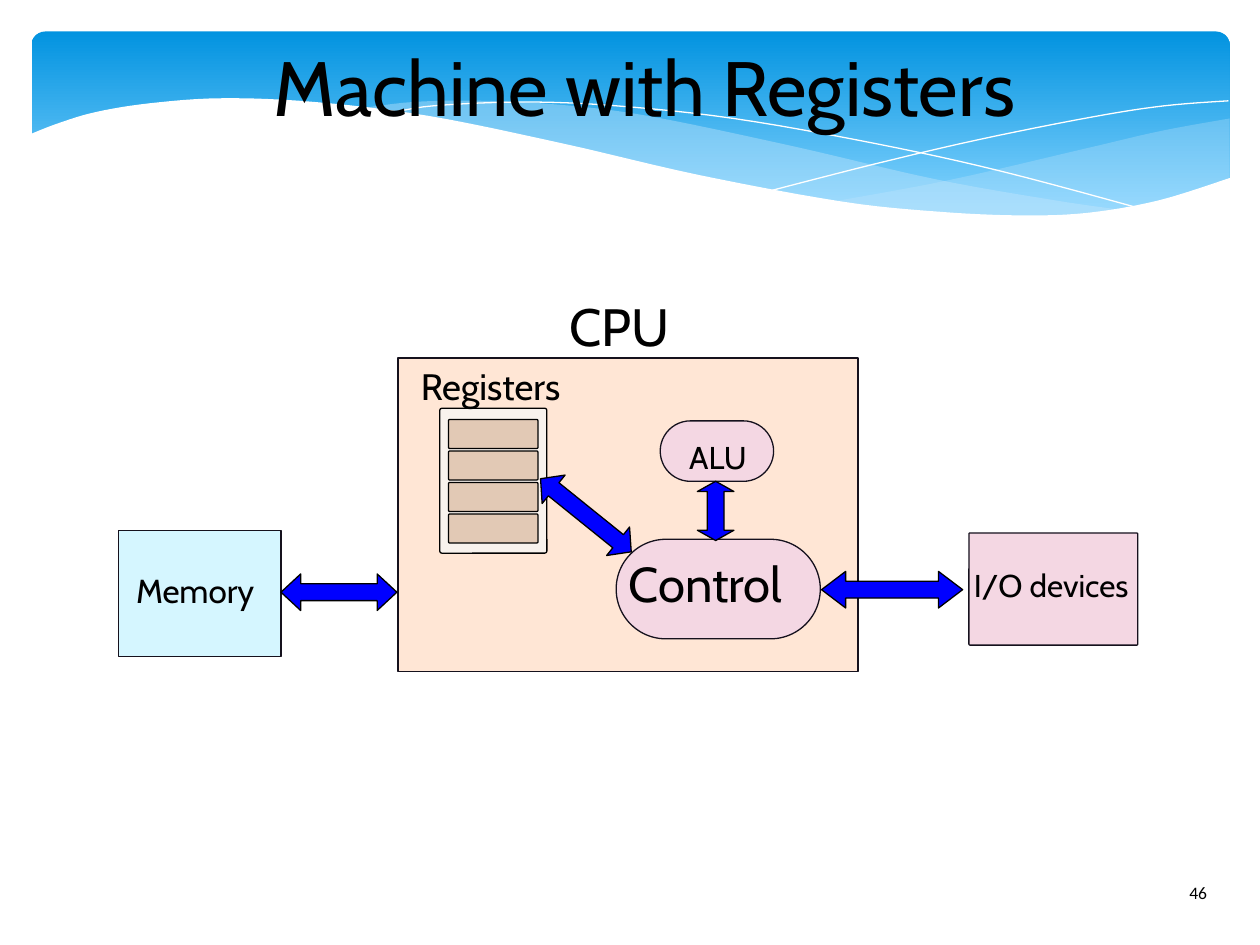
"""Build a slide showing a CPU with registers, linked to memory and I/O devices."""
from math import atan2, degrees, hypot

from lxml.etree import SubElement
from pptx import Presentation
from pptx.dml.color import RGBColor
from pptx.enum.shapes import MSO_SHAPE as Shape
from pptx.enum.text import MSO_ANCHOR as Anchor, MSO_AUTO_SIZE as AutoSize, PP_ALIGN as Align
from pptx.oxml.ns import qn
from pptx.util import Inches, Pt

COLORS = {
    "sky": "0293E0", "pale_sky": "83D3FE", "mist": "C6E7FC", "white": "FFFFFF",
    "cpu": "FFE6D5", "memory": "D5F6FF", "unit": "F4D7E3", "bank": "F8F2ED",
    "register": "E2C9B5", "arrow": "0000FF", "ink": "15111D", "black": "000000",
}
BANNER = (0.25, 0.25, 9.51, 1.56)
RIGHT_HILL = [
    [(6.61, 1.6), (7.53, 1.43), (8.61, 1.18), (9.21, 1.04), (9.76, 0.94)],
    [(9.76, 1.41), (9.35, 1.56), (8.89, 1.66), (8.35, 1.72), (7.81, 1.72), (7.19, 1.67), (6.61, 1.6)],
]
MIDDLE_HILL = [
    [(2.86, 0.86), (3.28, 0.81), (3.8, 0.8), (4.42, 0.83), (5.14, 0.92), (6.29, 1.16),
     (7.41, 1.42), (8.37, 1.59), (8.93, 1.67)],
    [(8.93, 1.67), (8.48, 1.72), (7.96, 1.73), (7.36, 1.69), (6.5, 1.58), (5.66, 1.43),
     (4.49, 1.16), (3.62, 0.97), (2.86, 0.86)],
]
FALLING_LINE = [[(3.09, 0.9), (3.44, 0.84), (4.16, 0.81), (4.89, 0.84), (5.82, 0.94),
                 (6.95, 1.14), (7.95, 1.36), (9.07, 1.66)]]
RISING_LINE = [[(6.13, 1.51), (6.95, 1.3), (7.76, 1.11), (8.66, 0.93), (9.24, 0.84), (9.75, 0.8)]]
LOWER_EDGE = [
    [(0.23, 1.07), (0.46, 0.98), (0.76, 0.89), (1.19, 0.82), (1.77, 0.78), (2.5, 0.81),
     (3.4, 0.92), (4.47, 1.14), (5.55, 1.39), (6.68, 1.6), (7.44, 1.68), (8.09, 1.71),
     (8.63, 1.69), (9.2, 1.59), (9.77, 1.41)],
    [(9.77, 2.24), (0.23, 2.24)],
]
WAVES = [
    (RIGHT_HILL, "mist", 29), (MIDDLE_HILL, "mist", 40),
    (FALLING_LINE, None, 100), (RISING_LINE, None, 100), (LOWER_EDGE, "white", 100),
]
REGISTER_COUNT, REGISTER_PITCH = 4, 0.25
REGISTERS = [((3.56, 3.33 + row * REGISTER_PITCH, 0.71, 0.23), "register", "black", 0.04)
             for row in range(REGISTER_COUNT)]
PARTS = [
    ((3.16, 2.84, 3.65, 2.49), "cpu", "ink", 0),
    ((0.94, 4.21, 1.29, 1), "memory", "ink", 0),
    ((4.89, 4.28, 1.62, 0.79), "unit", "ink", 0.5),
    ((5.24, 3.34, 0.9, 0.48), "unit", "ink", 0.5),
    ((7.69, 4.23, 1.34, 0.89), "unit", "ink", 0.01),
    ((3.49, 3.24, 0.85, 1.15), "bank", "black", 0.02),
    *REGISTERS,
]
ARROW_WIDTH, SHAFT_SHARE = 0.29, 0.46
ARROWS = [
    ((6.52, 4.68), (7.64, 4.68), 0.66),
    ((2.23, 4.7), (3.15, 4.7), 0.54),
    ((5.68, 3.82), (5.68, 4.29), 0.28),
    ((4.29, 3.8), (5.01, 4.38), 0.46),
]
TITLE = ((1.06, 0.17, 8.11, 1.02), "Machine with Registers", 44)
LABELS = [
    ((4.52, 2.33, 1.1, 0.57), "CPU", 30),
    ((4.99, 4.39, 1.43, 0.52), "Control", 28),
    ((5.47, 3.48, 0.6, 0.34), "ALU", 18),
    ((1.08, 4.53, 1.16, 0.37), "Memory", 19),
    ((7.73, 4.49, 1.44, 0.35), "I/O devices", 18),
    ((3.34, 2.89, 1.36, 0.39), "Registers", 21),
]
PAGE_NUMBER = ((9.34, 6.95, 0.61, 0.4), "46", 10)


def color(name):
    return RGBColor.from_string(COLORS[name])


def place(box):
    return [Inches(length) for length in box]


def smooth(knots, steps=6):
    if len(knots) < 3:
        return knots
    padded = [knots[0], *knots, knots[-1]]
    points = [knots[0]]
    for a, b, c, d in zip(padded, padded[1:], padded[2:], padded[3:]):
        for t in (step / steps for step in range(1, steps + 1)):
            points.append(tuple(
                q + t * (r - p + t * (2 * p - 5 * q + 4 * r - s + t * (3 * q - p - 3 * r + s))) / 2
                for p, q, r, s in zip(a, b, c, d)))
    return points


def paint(shape, fill, line=None):
    shape.shadow.inherit = False
    if fill:
        shape.fill.solid()
        shape.fill.fore_color.rgb = color(fill)
    else:
        shape.fill.background()
    if line:
        shape.line.color.rgb = color(line)
        shape.line.width = Pt(0)
    else:
        shape.line.fill.background()


def add_banner(shapes):
    banner = shapes.add_shape(Shape.ROUNDED_RECTANGLE, *place(BANNER))
    banner.adjustments[0] = 0.07
    paint(banner, None)
    banner.fill.gradient()
    banner.fill.gradient_angle = 270
    for stop, name, position in zip(banner.fill.gradient_stops, ("sky", "pale_sky"), (0, 0.9)):
        stop.color.rgb = color(name)
        stop.position = position


def add_wave(shapes, edges, fill, opacity):
    outline = [place(point) for edge in edges for point in smooth(edge)]
    builder = shapes.build_freeform(*outline[0])
    builder.add_line_segments(outline[1:], close=bool(fill))
    wave = builder.convert_to_shape()
    paint(wave, fill, None if fill else "white")
    if opacity < 100:
        tint = wave.fill._xPr.find(qn("a:solidFill"))[0]
        SubElement(tint, qn("a:alpha"), val=str(opacity * 1000))


def add_part(shapes, box, fill, line, corner):
    part = shapes.add_shape(Shape.ROUNDED_RECTANGLE if corner else Shape.RECTANGLE, *place(box))
    if corner:
        part.adjustments[0] = corner
    paint(part, fill, line)


def add_arrow(shapes, start, end, head_share):
    (x1, y1), (x2, y2) = start, end
    length = hypot(x2 - x1, y2 - y1)
    box = ((x1 + x2 - length) / 2, (y1 + y2 - ARROW_WIDTH) / 2, length, ARROW_WIDTH)
    arrow = shapes.add_shape(Shape.LEFT_RIGHT_ARROW, *place(box))
    arrow.adjustments[0] = SHAFT_SHARE
    arrow.adjustments[1] = head_share
    arrow.rotation = degrees(atan2(y2 - y1, x2 - x1))
    paint(arrow, "arrow", "black")


def add_text(shapes, box, words, size, font="Cabin", inset=0):
    frame = shapes.add_textbox(*place(box)).text_frame
    frame.text = words
    if not inset:
        frame.margin_left = frame.margin_right = frame.margin_top = frame.margin_bottom = 0
    style = frame.paragraphs[0].runs[0].font
    style.name, style.size, style.color.rgb = font, Pt(size), color("black")
    return frame


def main():
    deck = Presentation()
    deck.slide_width, deck.slide_height = Inches(10), Inches(7.5)
    shapes = deck.slides.add_slide(deck.slide_layouts[6]).shapes

    add_banner(shapes)
    for wave in WAVES:
        add_wave(shapes, *wave)
    title = add_text(shapes, *TITLE)
    title.word_wrap = True
    title.vertical_anchor = Anchor.MIDDLE
    title.paragraphs[0].alignment = Align.CENTER

    for part in PARTS:
        add_part(shapes, *part)
    for arrow in ARROWS:
        add_arrow(shapes, *arrow)
    for label in LABELS:
        frame = add_text(shapes, *label)
        frame.word_wrap = False
        frame.auto_size = AutoSize.SHAPE_TO_FIT_TEXT
    add_text(shapes, *PAGE_NUMBER, font="Calibri", inset=0.1).word_wrap = True

    deck.save("out.pptx")


if __name__ == "__main__":
    main()
